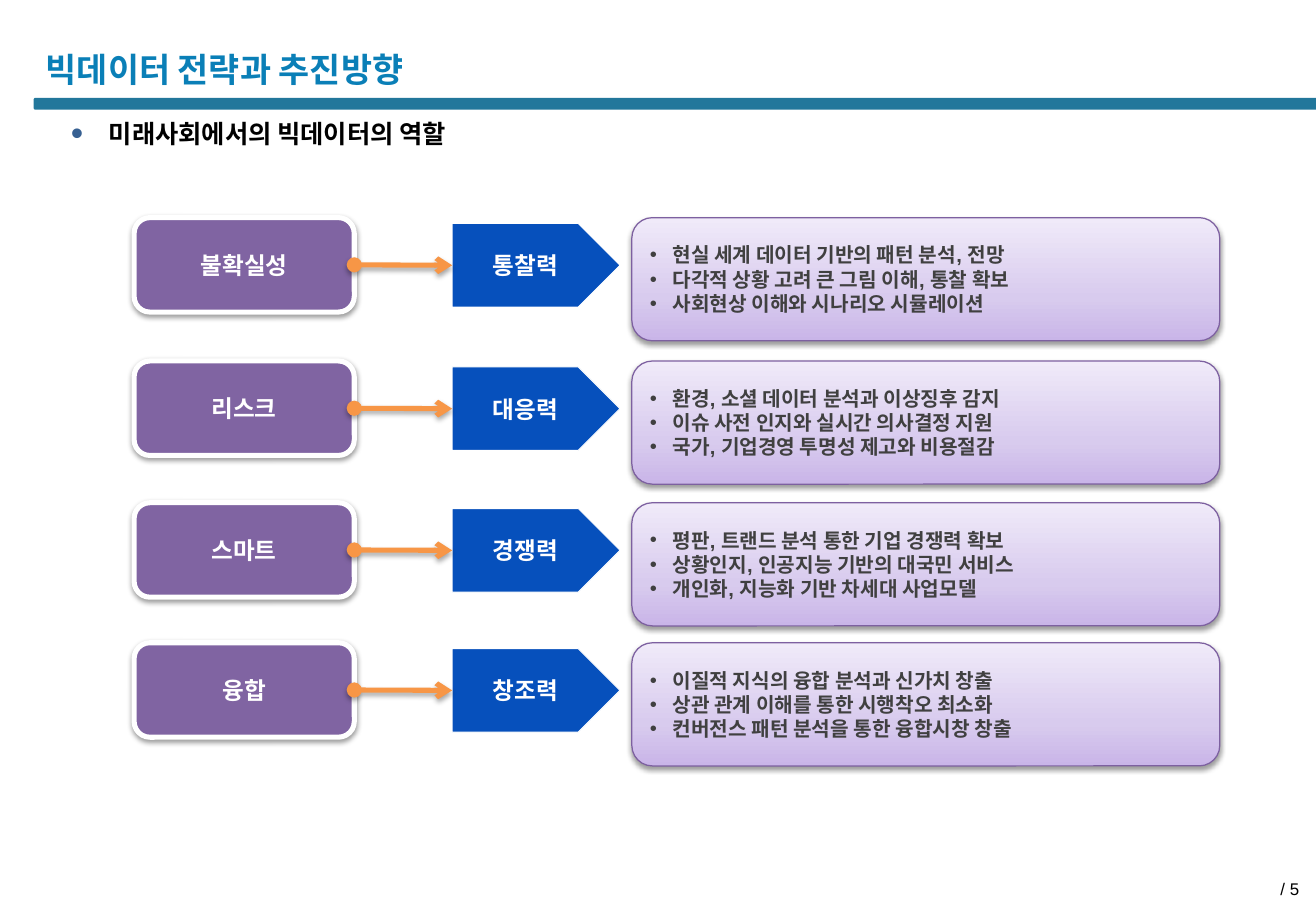
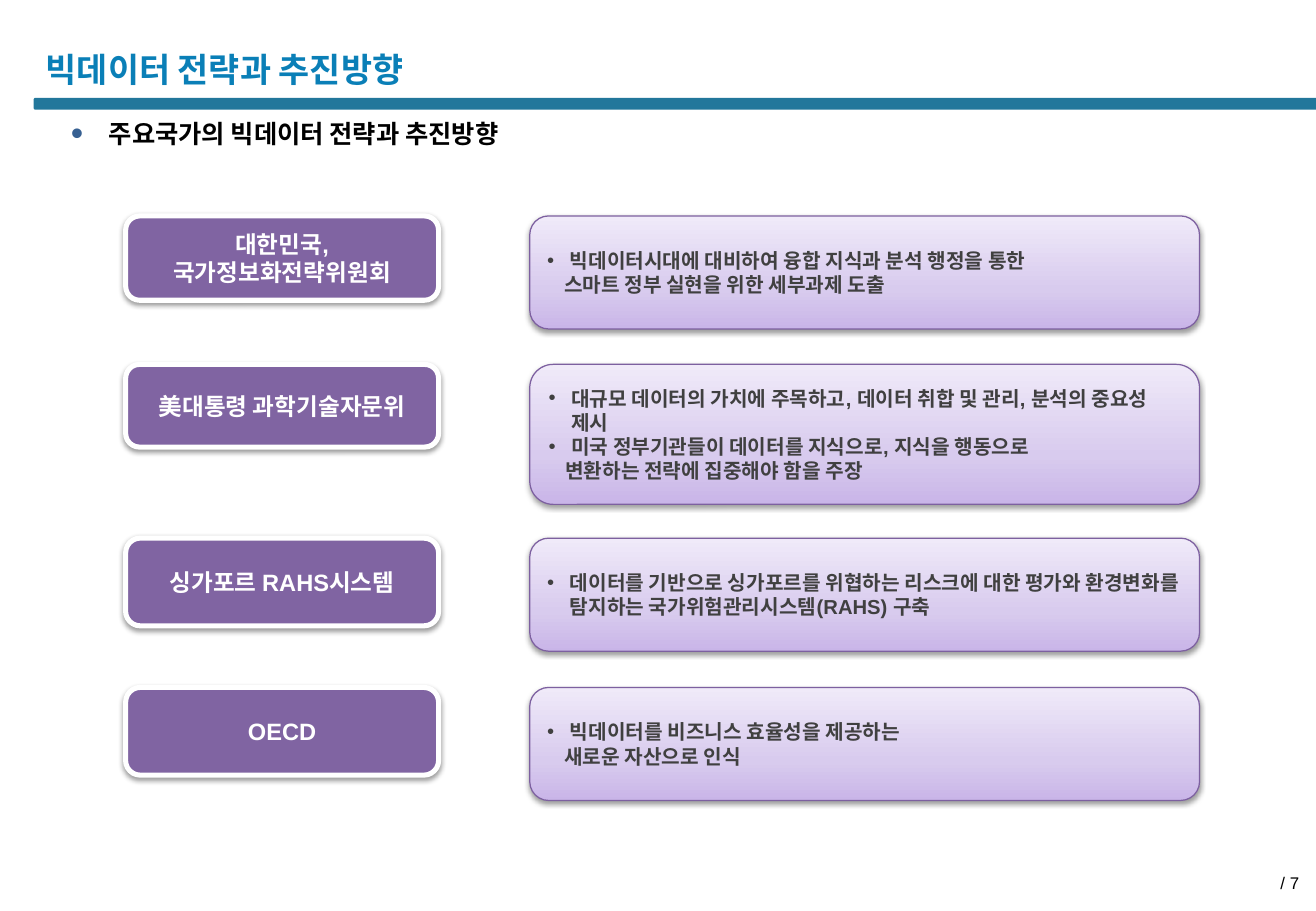
from lxml.etree import SubElement as Sub
from pptx import Presentation
from pptx.dml.color import RGBColor
from pptx.enum.shapes import MSO_CONNECTOR as Link, MSO_SHAPE as Kind
from pptx.enum.text import MSO_ANCHOR as Anchor, PP_ALIGN as Align
from pptx.oxml.ns import qn
from pptx.util import Pt

FONT = "Arial"
TITLE, BAND, DOT = "0A7FB7", "22779B", "376092"
WHITE, BLACK, GREY = "FFFFFF", "000000", "404040"
PURPLE, EDGE, BLUE, ORANGE = "8064A2", "7D60A0", "0650BC", "F79646"
FADE = [(0, "C9B5E8"), (35, "D8CBEE"), (100, "F0EAF9")]


def color(text):
    return RGBColor.from_string(text)


def tag(parent, name, **attrs):
    return Sub(parent, qn("a:" + name), {k: str(v) for k, v in attrs.items()})


def shade(props, alpha, dist):
    effect = props.find(qn("a:effectLst"))
    if effect is None:
        effect = tag(props, "effectLst")
    outer = tag(effect, "outerShdw", blurRad=Pt(3.1), dist=Pt(dist),
                dir=5400000, rotWithShape=0)
    tag(tag(outer, "srgbClr", val=BLACK), "alpha", val=alpha * 1000)


class Deck:
    def __init__(self):
        self.show = Presentation()
        self.show.slide_width, self.show.slide_height = Pt(780), Pt(540)

    def page(self, title, topic, number, top):
        self.slide = self.show.slides.add_slide(self.show.slide_layouts[5])
        self.shapes = self.slide.shapes
        band = self.shape(Kind.ROUNDED_RECTANGLE, 20, 58, 762, 7, BAND)
        band.adjustments[0] = 0.13
        head = self.shapes.title
        head.left, head.top, head.width, head.height = Pt(20), Pt(24), Pt(462), Pt(34)
        head.text_frame.vertical_anchor = Anchor.MIDDLE
        self.words(head, [title], 20, TITLE)
        lead = self.label(42, 70, 513, 18)
        frame = lead.text_frame
        frame.margin_left = frame.margin_right = frame.margin_top = frame.margin_bottom = 0
        self.words(lead, [topic], 15, BLACK, hang=22.5, dot=DOT)
        foot = self.label(598, top, 182, 17)
        foot.text_frame.margin_right = Pt(10)
        self.words(foot, [f"/ {number}"], 10, BLACK, False, Align.RIGHT)

    def label(self, x, y, w, h):
        box = self.shapes.add_textbox(Pt(x), Pt(y), Pt(w), Pt(h))
        box.text_frame.word_wrap = True
        return box

    def words(self, shape, lines, size, ink, bold=True, align=Align.LEFT, hang=0, dot=None):
        frame = shape.text_frame
        for i, line in enumerate(lines):
            para = frame.add_paragraph() if i else frame.paragraphs[0]
            para.alignment = align
            if hang:
                props = para._p.get_or_add_pPr()
                if line.startswith("+"):
                    line = line[1:]
                    props.set("marL", str(Pt(10)))
                else:
                    self.bullet(props, hang, dot)
            para.text = line
            font = para.font
            font.name, font.size, font.bold = FONT, Pt(size), bold
            font.color.rgb = color(ink)

    def bullet(self, props, hang, dot):
        props.set("marL", str(Pt(hang)))
        props.set("indent", str(-Pt(hang)))
        if dot:
            tag(tag(props, "buClr"), "srgbClr", val=dot)
            tag(props, "buSzPct", val=140000)
        tag(props, "buFont", typeface=FONT)
        tag(props, "buChar", char="•")

    def shape(self, kind, x, y, w, h, fill=None, edge=None, weight=1.0):
        item = self.shapes.add_shape(kind, Pt(x), Pt(y), Pt(w), Pt(h))
        item.shadow.inherit = False
        if fill:
            item.fill.solid()
            item.fill.fore_color.rgb = color(fill)
        if edge:
            item.line.color.rgb = color(edge)
            item.line.width = Pt(weight)
        else:
            item.line.fill.background()
        frame = item.text_frame
        frame.word_wrap, frame.vertical_anchor = True, Anchor.MIDDLE
        frame.margin_top = frame.margin_bottom = 0
        return item

    def box(self, x, y, w, h, lines):
        item = self.shape(Kind.ROUNDED_RECTANGLE, x, y, w, h, PURPLE, WHITE, 3)
        shade(item._element.spPr, 38, 1.6)
        self.words(item, lines, 14, WHITE, align=Align.CENTER)
        return item

    def panel(self, x, y, w, h, lines):
        item = self.shape(Kind.ROUNDED_RECTANGLE, x, y, w, h, edge=EDGE, weight=0.75)
        item.fill.gradient()
        item.fill.gradient_angle = 90
        props = item._element.spPr
        stops = props.find(qn("a:gradFill")).find(qn("a:gsLst"))
        for stop in list(stops):
            stops.remove(stop)
        for pos, tone in FADE:
            tag(tag(stops, "gs", pos=pos * 1000), "srgbClr", val=tone)
        shade(props, 38, 1.6)
        self.words(item, lines, 12, GREY, hang=13.5)

    def power(self, x, y, w, h, text):
        item = self.shape(Kind.PENTAGON, x, y, w, h, BLUE, WHITE, 0.5)
        self.words(item, [text], 14, WHITE, align=Align.CENTER)
        return item

    def arrow(self, start, end):
        link = self.shapes.add_connector(Link.STRAIGHT, 0, 0, 0, 0)
        link.begin_connect(start, 3)
        link.end_connect(end, 1)
        link.line.color.rgb = color(ORANGE)
        link.line.width = Pt(3)
        props = link._element.spPr
        line = props.find(qn("a:ln"))
        tag(line, "headEnd", type="oval")
        tag(line, "tailEnd", type="arrow")
        shade(props, 35, 1.8)


ROLES = [
    (129, "불확실성", "통찰력", ["현실 세계 데이터 기반의 패턴 분석, 전망",
                          "다각적 상황 고려 큰 그림 이해, 통찰 확보",
                          "사회현상 이해와 시나리오 시뮬레이션"]),
    (214, "리스크", "대응력", ["환경, 소셜 데이터 분석과 이상징후 감지",
                         "이슈 사전 인지와 실시간 의사결정 지원",
                         "국가, 기업경영 투명성 제고와 비용절감"]),
    (298, "스마트", "경쟁력", ["평판, 트랜드 분석 통한 기업 경쟁력 확보",
                         "상황인지, 인공지능 기반의 대국민 서비스",
                         "개인화, 지능화 기반 차세대 사업모델"]),
    (381, "융합", "창조력", ["이질적 지식의 융합 분석과 신가치 창출",
                        "상관 관계 이해를 통한 시행착오 최소화",
                        "컨버전스 패턴 분석을 통한 융합시창 창출"]),
]

PLANS = [
    (128, 50, 67, ["대한민국,", "국가정보화전략위원회"],
     ["빅데이터시대에 대비하여 융합 지식과 분석 행정을 통한",
      "+스마트 정부 실현을 위한 세부과제 도출"]),
    (216, 49, 83, ["美대통령 과학기술자문위"],
     ["대규모 데이터의 가치에 주목하고, 데이터 취합 및 관리, 분석의 중요성 제시",
      "미국 정부기관들이 데이터를 지식으로, 지식을 행동으로",
      "+변환하는 전략에 집중해야 함을 주장"]),
    (319, 52, 67, ["싱가포르 RAHS시스템"],
     ["데이터를 기반으로 싱가포르를 위협하는 리스크에 대한 평가와 "
      "환경변화를 탐지하는 국가위험관리시스템(RAHS) 구축"]),
    (407.5, 52, 67, ["OECD"],
     ["빅데이터를 비즈니스 효율성을 제공하는", "+새로운 자산으로 인식"]),
]


def main():
    deck = Deck()
    title = "빅데이터 전략과 추진방향"
    deck.page(title, "미래사회에서의 빅데이터의 역할", 5, 517.5)
    for y, need, power, lines in ROLES:
        deck.panel(374.5, y, 348.5, 73, lines)
        start = deck.box(79.5, y, 130.5, 56, [need])
        end = deck.power(268, y + 3.5, 99.5, 49.5, power)
        deck.arrow(start, end)

    deck.page(title, "주요국가의 빅데이터 전략과 추진방향", 7, 514)
    for y, low, high, names, lines in PLANS:
        deck.panel(314, y, 397, high, lines)
        deck.box(74.5, y, 185.5, low, names)
    deck.show.save("out.pptx")


if __name__ == "__main__":
    main()
